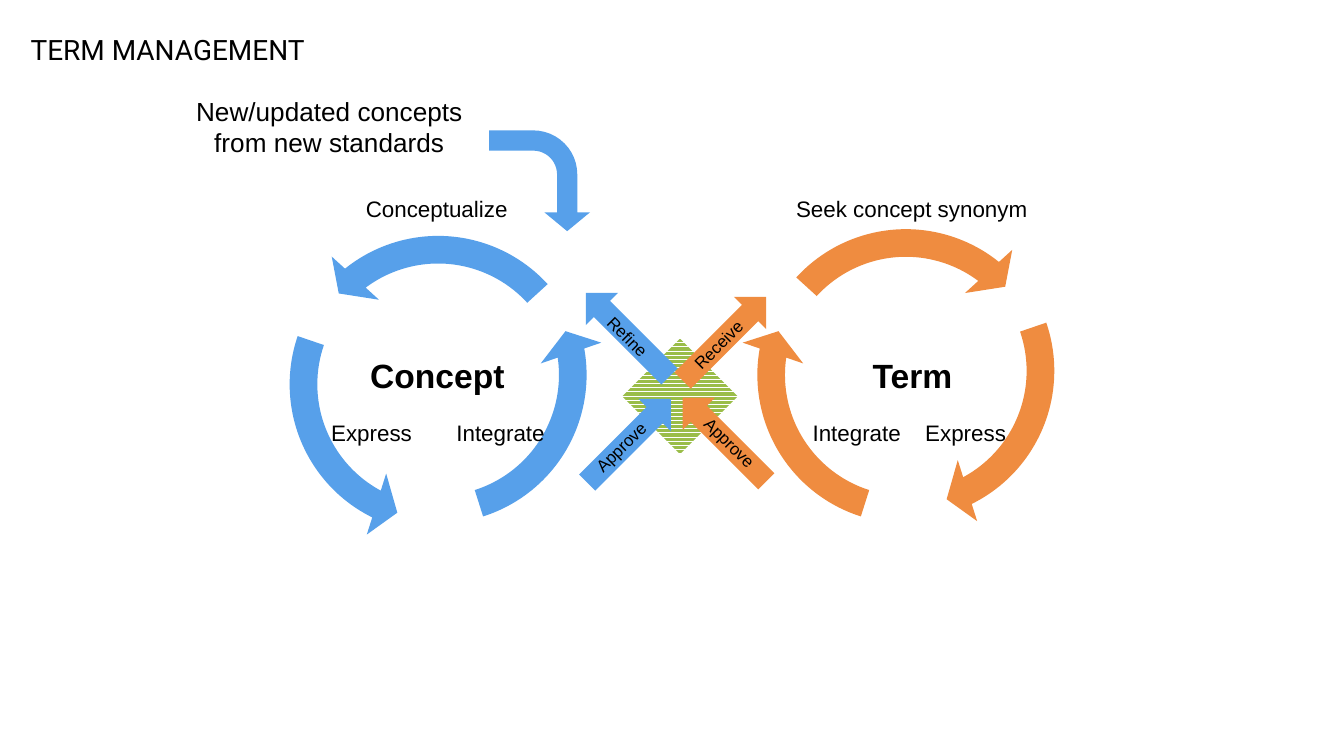
from dataclasses import dataclass

from pptx import Presentation
from pptx.dml.color import RGBColor
from pptx.enum.dml import MSO_PATTERN
from pptx.enum.shapes import MSO_SHAPE
from pptx.enum.text import PP_ALIGN
from pptx.util import Inches, Pt


@dataclass(frozen=True)
class Theme:
    """Colours, fonts and type sizes of the slide."""

    blue: RGBColor = RGBColor(0x57, 0xA0, 0xEA)
    orange: RGBColor = RGBColor(0xEF, 0x8C, 0x40)
    green: RGBColor = RGBColor(0x9A, 0xBD, 0x48)
    white: RGBColor = RGBColor(0xFF, 0xFF, 0xFF)
    black: RGBColor = RGBColor(0, 0, 0)
    title_font: str = "Roboto"
    body_font: str = "Arial"
    title: Pt = Pt(15)
    source: Pt = Pt(14)
    heading: Pt = Pt(18)
    label: Pt = Pt(12)
    small: Pt = Pt(9)


THEME = Theme()
CYCLE_SIZE = 2.48
CYCLE_ARCS = (
    (0.083, 5.764, 37.655, 204.621, 0.096),
    (0.083, 5.764, 113.615, 64.581, 0.096),
    (0.083, 5.764, 184.763, 133.473, 0.096),
)
ARROW_W, ARROW_H = 0.88, 0.34
LABEL_H, SMALL_H, HEADING_H = 0.3, 0.25, 0.4


def add_text(s, text, box, size, font=THEME.body_font, bold=False,
             align=PP_ALIGN.CENTER, wrap=False, rotation=0):
    """Add a text box holding one formatted run."""
    sp = s.shapes.add_textbox(*map(Inches, box))
    sp.rotation = rotation
    tf = sp.text_frame
    tf.word_wrap = wrap
    p = tf.paragraphs[0]
    p.alignment = align
    r = p.add_run()
    r.text = text
    for name, value in {"name": font, "size": size, "bold": bold}.items():
        setattr(r.font, name, value)
    r.font.color.rgb = THEME.black


def add_shape(s, kind, box, color, adjustments=(), rotation=0, mirrored=False):
    """Add a solid preset shape without line or shadow."""
    sp = s.shapes.add_shape(kind, *map(Inches, box))
    sp.shadow.inherit = False
    sp.fill.solid()
    sp.fill.fore_color.rgb = color
    sp.line.fill.background()
    sp.rotation = rotation
    for i, value in enumerate(adjustments):
        sp.adjustments[i] = value
    if mirrored:
        sp.element.spPr.get_or_add_xfrm().set("flipH", "1")
    return sp


def add_diamond(s):
    """Add the striped diamond where the two cycles meet."""
    sp = add_shape(s, MSO_SHAPE.DIAMOND, (4.63, 2.52, 0.86, 0.86), THEME.green)
    sp.fill.patterned()
    sp.fill.pattern = MSO_PATTERN.DARK_HORIZONTAL
    sp.fill.fore_color.rgb = THEME.green
    sp.fill.back_color.rgb = THEME.white


def add_cycle(s, left, tops, color, mirrored=False):
    """Add three circular arrows that form one cycle."""
    for top, arc in zip(tops, CYCLE_ARCS):
        add_shape(s, MSO_SHAPE.CIRCULAR_ARROW, (left, top, CYCLE_SIZE, CYCLE_SIZE),
                  color, arc, mirrored=mirrored)


def add_exchange_arrows(s):
    """Add the four diagonal arrows and their rotated labels."""
    arrows = (
        (4.95, 2.35, 315, THEME.orange),
        (4.23, 2.32, 225, THEME.blue),
        (4.95, 3.1, 225, THEME.orange),
        (4.24, 3.11, 315, THEME.blue),
    )
    labels = (
        ("Approve", 4.28, 3.2, 0.68, 315),
        ("Refine", 4.39, 2.38, 0.56, 45),
        ("Approve", 5.09, 3.17, 0.68, 45),
        ("Receive", 5.02, 2.44, 0.65, 315),
    )
    for left, top, rotation, color in arrows:
        add_shape(s, MSO_SHAPE.RIGHT_ARROW, (left, top, ARROW_W, ARROW_H),
                  color, rotation=rotation)
    for text, left, top, width, rotation in labels:
        add_text(s, text, (left, top, width, SMALL_H), THEME.small, rotation=rotation)


def add_cycle_labels(s):
    """Add the cycle headings and the step names."""
    steps = (
        ("Conceptualize", 2.61, 1.4, 1.28),
        ("Express", 2.36, 3.07, 0.81),
        ("Integrate", 3.29, 3.07, 0.87),
        ("Integrate", 5.94, 3.07, 0.87),
        ("Express", 6.78, 3.07, 0.81),
        ("Seek concept synonym", 5.8, 1.4, 1.97),
    )
    for text, left, top, width in steps:
        add_text(s, text, (left, top, width, LABEL_H), THEME.label)
    for text, left, width in (("Concept", 2.64, 1.23), ("Term", 6.39, 0.8)):
        add_text(s, text, (left, 2.59, width, HEADING_H), THEME.heading, bold=True)


def add_source(s):
    """Add the bent arrow and the text that feed the concept cycle."""
    add_shape(s, MSO_SHAPE.BENT_ARROW, (3.64, 0.97, 0.75, 0.75), THEME.blue,
              (0.201, 0.227, 0.187, 0.438), rotation=90)
    add_text(s, "New/updated concepts from new standards", (1.19, 0.66, 2.52, 0.57),
             THEME.source, wrap=True)


def main():
    """Build the slide and save it."""
    prs = Presentation()
    prs.slide_width = Inches(10)
    prs.slide_height = prs.slide_width * 9 // 16
    s = prs.slides.add_slide(prs.slide_layouts[6])
    add_text(s, "TERM MANAGEMENT", (0.13, 0.19, 9.43, 0.71), THEME.title,
             THEME.title_font, align=PP_ALIGN.LEFT, wrap=True)
    add_diamond(s)
    add_cycle(s, 2.02, (1.62, 1.55, 1.62), THEME.blue, mirrored=True)
    add_cycle(s, 5.5, (1.52, 1.55, 1.57), THEME.orange)
    add_exchange_arrows(s)
    add_cycle_labels(s)
    add_source(s)
    prs.save("out.pptx")


if __name__ == "__main__":
    main()
